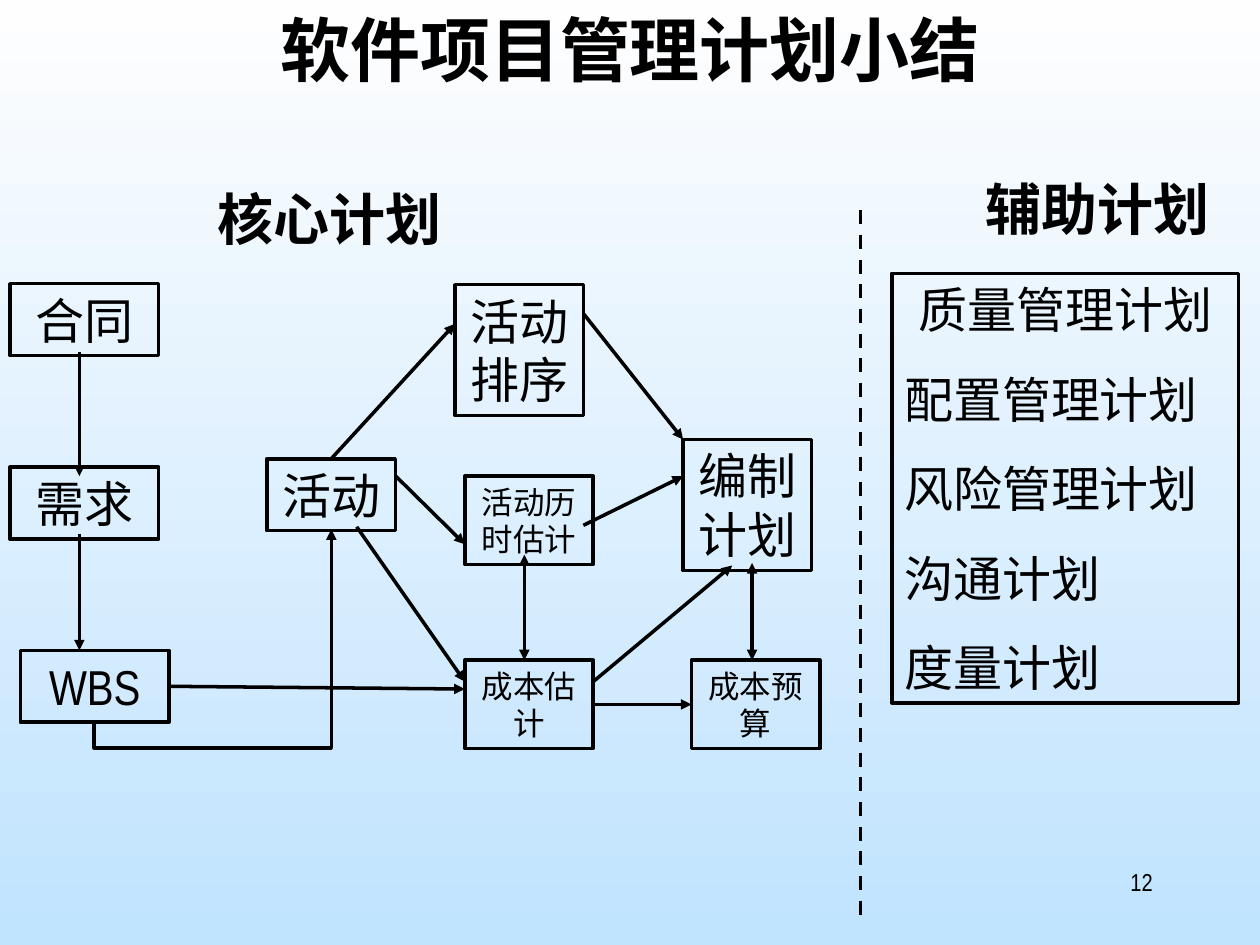
from lxml import etree
from pptx import Presentation
from pptx.dml.color import RGBColor
from pptx.enum import dml, lang, shapes, text
from pptx.oxml import ns
from pptx.util import Cm, Pt

HUES = {"ink": "000000", "top": "FEFEFE", "base": "C0E3FE"}
MID = text.PP_ALIGN.CENTER
LEFT = text.PP_ALIGN.LEFT
RIGHT = text.PP_ALIGN.RIGHT
FIT = text.MSO_AUTO_SIZE.SHAPE_TO_FIT_TEXT


def hue(name):
    return RGBColor.from_string(HUES[name])


def apply(part, style):
    for key, value in style.items():
        setattr(part, key, value)


class Deck:
    face = "Arial Narrow"
    alt = "Noto Sans CJK SC"
    frame = {
        "word_wrap": True,
        "vertical_anchor": text.MSO_ANCHOR.TOP,
        "margin_left": Cm(0.25),
        "margin_right": Cm(0.25),
        "margin_top": Cm(0.13),
        "margin_bottom": Cm(0.13),
    }

    def __init__(self):
        self.file = Presentation()
        apply(self.file, {"slide_width": Cm(25.4), "slide_height": Cm(19.05)})
        self.slide = self.file.slides.add_slide(self.file.slide_layouts[6])
        self.items = self.slide.shapes

    def shade(self):
        fill = self.slide.background.fill
        fill.gradient()
        fill.gradient_angle = 270
        for stop, place, name in zip(fill.gradient_stops, (0, 1), ("top", "base")):
            stop.position = place
            stop.color.rgb = hue(name)

    def words(self, shape, rows, size, bold=False, grow=True, gap=0):
        body = shape.text_frame
        apply(body, self.frame)
        body.auto_size = FIT if grow else text.MSO_AUTO_SIZE.NONE
        for num, (runs, side) in enumerate(rows):
            para = body.add_paragraph() if num else body.paragraphs[0]
            para.alignment = side
            if num:
                para.space_before = Pt(gap)
            for part, face in runs:
                run = para.add_run()
                run.text = part
                apply(run.font, {
                    "name": face,
                    "size": Pt(size),
                    "bold": bold,
                    "language_id": lang.MSO_LANGUAGE_ID.SIMPLIFIED_CHINESE,
                })
                run.font.color.rgb = hue("ink")

    def label(self, area, runs, size, bold=True, grow=True, side=MID):
        shape = self.items.add_textbox(*map(Cm, area))
        self.words(shape, [(runs, side)], size, bold, grow)

    def box(self, area, rows, size, gap=0):
        shape = self.items.add_shape(shapes.MSO_SHAPE.RECTANGLE, *map(Cm, area))
        shape.shadow.inherit = False
        shape.fill.background()
        self.stroke(shape)
        self.words(shape, rows, size, gap=gap)
        return shape

    def stroke(self, shape):
        shape.line.color.rgb = hue("ink")
        shape.line.width = Pt(2)

    def line(self, ends, tips=("tailEnd",), dash=None, kind="STRAIGHT"):
        link = self.items.add_connector(shapes.MSO_CONNECTOR[kind], *map(Cm, ends))
        self.stroke(link)
        if dash:
            link.line.dash_style = dash
        props = link._element.spPr
        for tip in tips:
            etree.SubElement(props.find(ns.qn("a:ln")), ns.qn("a:" + tip), type="triangle")
        etree.SubElement(props, ns.qn("a:effectLst"))
        return link

    def elbow(self, ends, bend):
        link = self.line(ends, kind="ELBOW")
        props = link._element.spPr
        props.find(ns.qn("a:xfrm")).set("rot", "5400000")
        shape = props.find(ns.qn("a:prstGeom"))
        guides = shape.find(ns.qn("a:avLst"))
        if guides is None:
            guides = etree.SubElement(shape, ns.qn("a:avLst"))
        etree.SubElement(guides, ns.qn("a:gd"), name="adj1", fmla=f"val {bend}")


def main():
    deck = Deck()
    face = deck.face
    deck.shade()
    deck.label((1.9, 0, 21.6, 3.18),
               [("软件项目管理计划", face), ("小结", deck.alt)], 40, grow=False)
    deck.label((3.38, 3.6, 6.55, 1.63), [("核心计划", face)], 32)
    deck.label((18.85, 3.38, 6.55, 1.63), [("辅助计划", face)], 32)
    deck.line((17.35, 4.24, 17.35, 18.62), (), dml.MSO_LINE.DASH)

    wide, flat, tall = (3, 1.45), (2.59, 1.45), (2.59, 2.64)
    small = (2.59, 1.78)
    steps = [
        ("合同", 0.2, 5.72, wide, 28),
        ("需求", 0.2, 9.42, wide, 28),
        ("WBS", 0.41, 13.11, wide, 28),
        ("活动", 5.38, 9.25, flat, 28),
        ("活动排序", 9.17, 5.74, tall, 28),
        ("活动历时估计", 9.37, 9.6, small, 18),
        ("编制计划", 13.77, 8.86, tall, 28),
        ("成本估计", 9.37, 13.31, small, 18),
        ("成本预算", 13.94, 13.31, small, 18),
    ]
    nodes = {
        name: deck.box((left, top, *size), [([(name, face)], MID)], font)
        for name, left, top, size, font in steps
    }

    for ends in (
        (1.6, 7.09, 1.6, 9.6),
        (1.6, 10.77, 1.6, 13.11),
        (7.19, 10.62, 9.37, 13.74),
        (11.76, 6.32, 13.77, 8.86),
        (11.96, 13.74, 14.76, 11.4),
        (7.98, 9.6, 9.37, 10.97),
        (11.76, 10.59, 13.77, 9.6),
    ):
        deck.line(ends)
    for ends in ((15.16, 13.31, 15.16, 11.35), (10.57, 13.31, 10.57, 11.18)):
        deck.line(ends, ("headEnd", "tailEnd"))

    deck.line((6.58, 9.25, 9.17, 6.53)).begin_connect(nodes["活动"], 0)
    deck.line((3.4, 13.89, 9.37, 13.89)).begin_connect(nodes["WBS"], 3)
    spend = deck.line((11.96, 14.3, 13.94, 14.3))
    spend.begin_connect(nodes["成本估计"], 3)
    spend.end_connect(nodes["成本预算"], 1)
    deck.elbow((6.22, 14.99, 2.36, 10.21), -14200)

    plans = ("质量管理计划", "配置管理计划", "风险管理计划", "沟通计划", "度量计划")
    rows = [([(plan, face)], LEFT if num else MID) for num, plan in enumerate(plans)]
    deck.box((17.98, 5.51, 6.99, 8.66), rows, 28, 17.5)
    deck.label((18.21, 17.35, 5.28, 1.27), [("12", face)], 14, False, False, RIGHT)
    deck.file.save("out.pptx")


if __name__ == "__main__":
    main()
